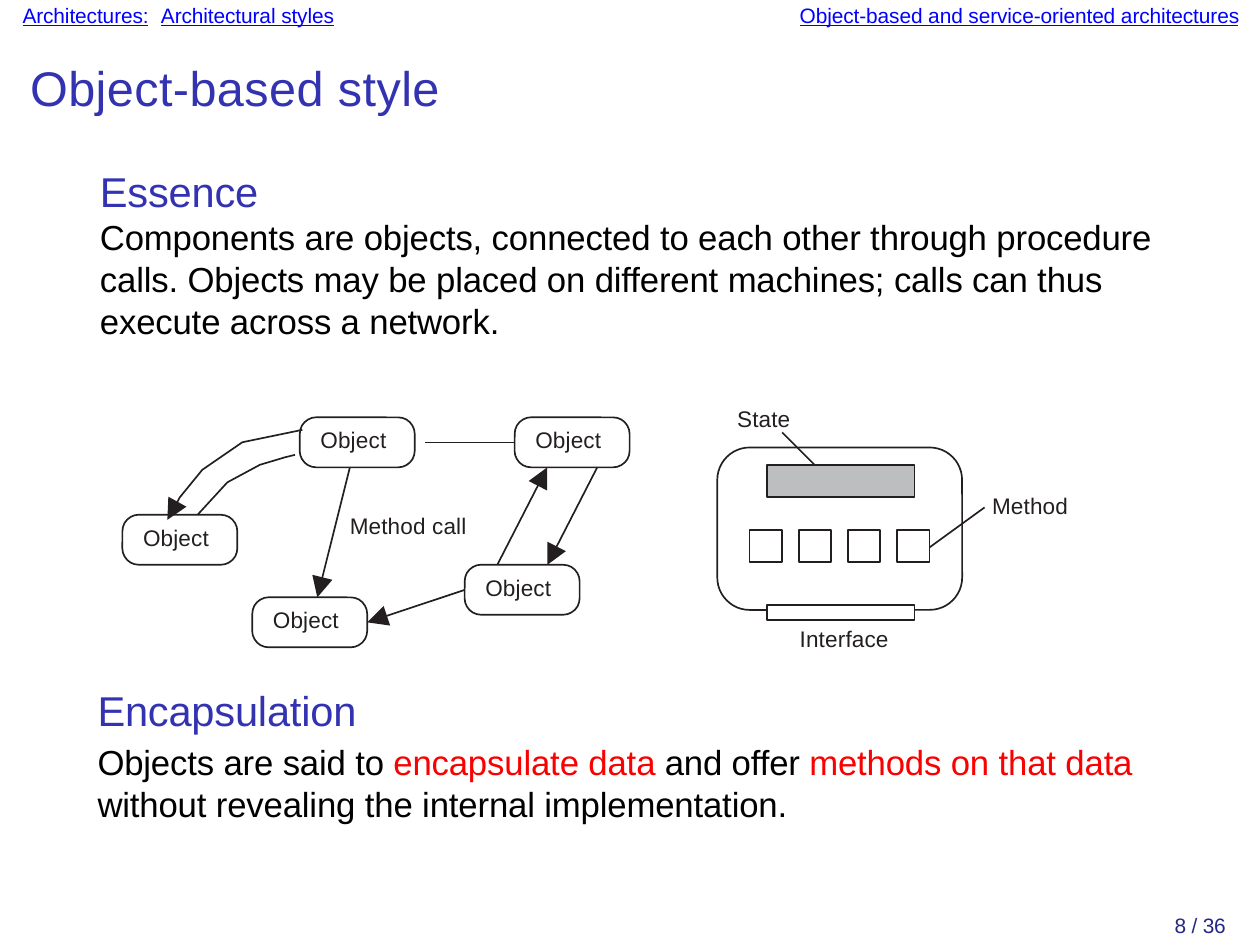
from dataclasses import dataclass

from lxml import etree
from pptx import Presentation
from pptx import util as u
from pptx.dml.color import RGBColor
from pptx.enum import shapes, text
from pptx.oxml import ns

COLORS = {
    "heading": "3333B2", "link": "0000FF", "body": "000000", "accent": "FA0000",
    "ink": "231F20", "state": "BCBEC0", "white": "FFFFFF", "page": "262685",
}
FONT = "Arial"
LINE_PT = 0.47
LABEL_PT = 6.5


@dataclass
class Box:
    x: float
    y: float
    w: float
    h: float

    def emu(self) -> list[int]:
        return [u.Inches(v) for v in (self.x, self.y, self.w, self.h)]


@dataclass
class Label:
    words: str
    box: Box


@dataclass
class Path:
    points: list[tuple[float, float]]
    arrow: bool = False


def rgb(name: str) -> RGBColor:
    return RGBColor.from_string(COLORS[name])


def add_xml(parent, tag: str, **attrs: str):
    return etree.SubElement(parent, ns.qn(tag), attrs)


def set_frame(sp, top: float, right: float = 0, wrap: bool = False):
    tf = sp.text_frame
    tf.auto_size = text.MSO_AUTO_SIZE.NONE
    tf.word_wrap = wrap
    tf.vertical_anchor = text.MSO_ANCHOR.TOP
    tf.margin_left, tf.margin_right = u.Inches(0.02), u.Inches(right)
    tf.margin_top, tf.margin_bottom = u.Inches(top), 0
    return tf


def style(p, size: float, color: str, spacing: int = 0) -> None:
    """Format a paragraph; spacing is in hundredths of a point."""
    p.alignment = text.PP_ALIGN.LEFT
    p.space_before = u.Pt(0)
    p.font.name, p.font.size = FONT, u.Pt(size)
    p.font.color.rgb = rgb(color)
    p._p.get_or_add_pPr().get_or_add_defRPr().set("spc", str(spacing))


def place(sp, box: Box) -> None:
    sp.left, sp.top, sp.width, sp.height = box.emu()


def add_text(s, label: Label, top: float, size: float, color: str, spacing: int) -> None:
    sp = s.shapes.add_textbox(*label.box.emu())
    p = set_frame(sp, top).paragraphs[0]
    p.text = label.words
    style(p, size, color, spacing)


def add_outline(s, kind, box: Box, fill: str | None = None):
    sp = s.shapes.add_shape(kind, *box.emu())
    sp.shadow.inherit = False
    if fill:
        sp.fill.solid()
        sp.fill.fore_color.rgb = rgb(fill)
    else:
        sp.fill.background()
    ink_line(sp)
    return sp


def ink_line(sp, arrow: bool = False) -> None:
    sp.line.color.rgb = rgb("ink")
    sp.line.width = u.Pt(LINE_PT)
    if arrow:
        add_xml(sp.line._get_or_add_ln(), "a:tailEnd", type="triangle", w="med", len="med")


def add_path(s, path: Path) -> None:
    pts = [(u.Inches(x), u.Inches(y)) for x, y in path.points]
    if len(pts) == 2:
        sp = s.shapes.add_connector(shapes.MSO_CONNECTOR.STRAIGHT, *pts[0], *pts[1])
        ink_line(sp, path.arrow)
        add_xml(sp._element.spPr, "a:effectLst")
        return
    fb = s.shapes.build_freeform(*pts[0])
    fb.add_line_segments(pts[1:], close=False)
    sp = fb.convert_to_shape()
    sp.shadow.inherit = False
    sp.fill.background()
    ink_line(sp, path.arrow)


def add_section(sp, box: Box, top: float, heading: str, runs: list[tuple[str, str]]):
    """Fill a body placeholder with a heading and a paragraph of coloured runs."""
    place(sp, box)
    tf = set_frame(sp, top, wrap=True)
    head, p = tf.paragraphs[0], tf.add_paragraph()
    for para in (head, p):
        pPr = para._p.get_or_add_pPr()
        pPr.set("marL", "0")
        pPr.set("indent", "0")
        add_xml(pPr, "a:buNone")
    head.text = heading
    style(head, 12, "heading", -5)
    style(p, 10, "body", -3)
    for words, color in runs:
        r = p.add_run()
        r.text = words
        if color != "body":
            r.font.color.rgb = rgb(color)
    return head, p


OBJECTS = [(1.2, 1.67), (0.49, 2.06), (1.01, 2.39), (1.86, 2.26), (2.06, 1.67)]
PATHS = [
    Path([(2.06, 1.77), (1.7, 1.77)]),
    Path([(1.21, 1.72), (0.97, 1.77), (0.81, 1.88), (0.72, 1.99), (0.67, 2.08)], True),
    Path([(0.79, 2.06), (0.91, 1.93), (1.04, 1.86), (1.14, 1.83), (1.18, 1.82)]),
    Path([(1.4, 1.87), (1.27, 2.39)], True),
    Path([(1.86, 2.36), (1.47, 2.49)], True),
    Path([(1.99, 2.26), (2.19, 1.87)], True),
    Path([(2.39, 1.87), (2.19, 2.26)], True),
    Path([(3.13, 1.73), (3.26, 1.86)]),
    Path([(3.94, 2.03), (3.72, 2.19)]),
]
LABELS = [
    Label("Method call", Box(1.38, 2.03, 0.5, 0.14)),
    Label("State", Box(2.93, 1.6, 0.24, 0.14)),
    Label("Method", Box(3.95, 1.95, 0.34, 0.14)),
    Label("Interface", Box(3.18, 2.48, 0.39, 0.14)),
]


def main() -> None:
    prs = Presentation()
    prs.slide_width, prs.slide_height = u.Pt(363), u.Pt(272.5)
    s = prs.slides.add_slide(prs.slide_layouts[3])
    title, essence, encapsulation = s.placeholders

    # Running header
    sp = s.shapes.add_textbox(*Box(0.07, 0, 4.89, 0.13).emu())
    p = set_frame(sp, 0.01).paragraphs[0]
    tabs = add_xml(p._p.get_or_add_pPr(), "a:tabLst")
    add_xml(tabs, "a:tab", pos=str(u.Inches(3.11)), algn="l")
    style(p, 6, "link", -3)
    for words in ("Architectures:", " ", "Architectural styles", "\t",
                  "Object-based and service-oriented architectures"):
        r = p.add_run()
        r.text = words
        r.font.underline = bool(words.strip())
        if words == " ":
            r._r.get_or_add_rPr().set("spc", "190")

    # Title
    place(title, Box(0.1, 0.21, 1.68, 0.27))
    p = set_frame(title, 0.02).paragraphs[0]
    p.text = "Object-based style"
    style(p, 14, "heading", 10)

    # Text sections
    head, p = add_section(essence, Box(0.38, 0.66, 4.26, 0.72), 0.01, "Essence", [
        ("Components are objects, connected to each other through procedure calls. "
         "Objects may be placed on different machines; calls can thus execute "
         "across a network.", "body")])
    head.line_spacing, p.line_spacing = u.Pt(14.1), u.Pt(12)
    head, p = add_section(encapsulation, Box(0.37, 2.7, 4.2, 0.61), 0.04, "Encapsulation", [
        ("Objects are said to ", "body"), ("encapsulate data ", "accent"),
        ("and offer ", "body"), ("methods on that data ", "accent"),
        ("without revealing the internal implementation.", "body")])
    p.space_before = u.Pt(1.8)

    # Objects calling each other
    for x, y in OBJECTS:
        sp = add_outline(s, shapes.MSO_SHAPE.ROUNDED_RECTANGLE, Box(x, y, 0.46, 0.2))
        sp.adjustments[0] = 0.33
        tf = set_frame(sp, 0, right=0.05)
        tf.margin_bottom = u.Inches(0.02)
        tf.vertical_anchor = text.MSO_ANCHOR.MIDDLE
        p = tf.paragraphs[0]
        p.text = "Object"
        style(p, LABEL_PT, "ink", 5)
        p.alignment = text.PP_ALIGN.CENTER

    # Inside of one object: state, methods, interface
    sp = add_outline(s, shapes.MSO_SHAPE.ROUNDED_RECTANGLE, Box(2.87, 1.79, 0.98, 0.65))
    sp.adjustments[0] = 0.2
    rect = shapes.MSO_SHAPE.RECTANGLE
    add_outline(s, rect, Box(3.07, 1.86, 0.59, 0.13), "state")
    for i in range(4):
        add_outline(s, rect, Box(3 + i * 0.59 / 3, 2.12, 0.13, 0.13))
    add_outline(s, rect, Box(3.07, 2.42, 0.59, 0.06), "white")

    # Calls, leader lines and labels
    for path in PATHS:
        add_path(s, path)
    for label in LABELS:
        add_text(s, label, 0.02, LABEL_PT, "ink", 5)

    # Page number
    add_text(s, Label("8 / 36", Box(4.68, 3.64, 0.29, 0.13)), 0.01, 6, "page", -5)

    prs.save("out.pptx")


if __name__ == "__main__":
    main()
